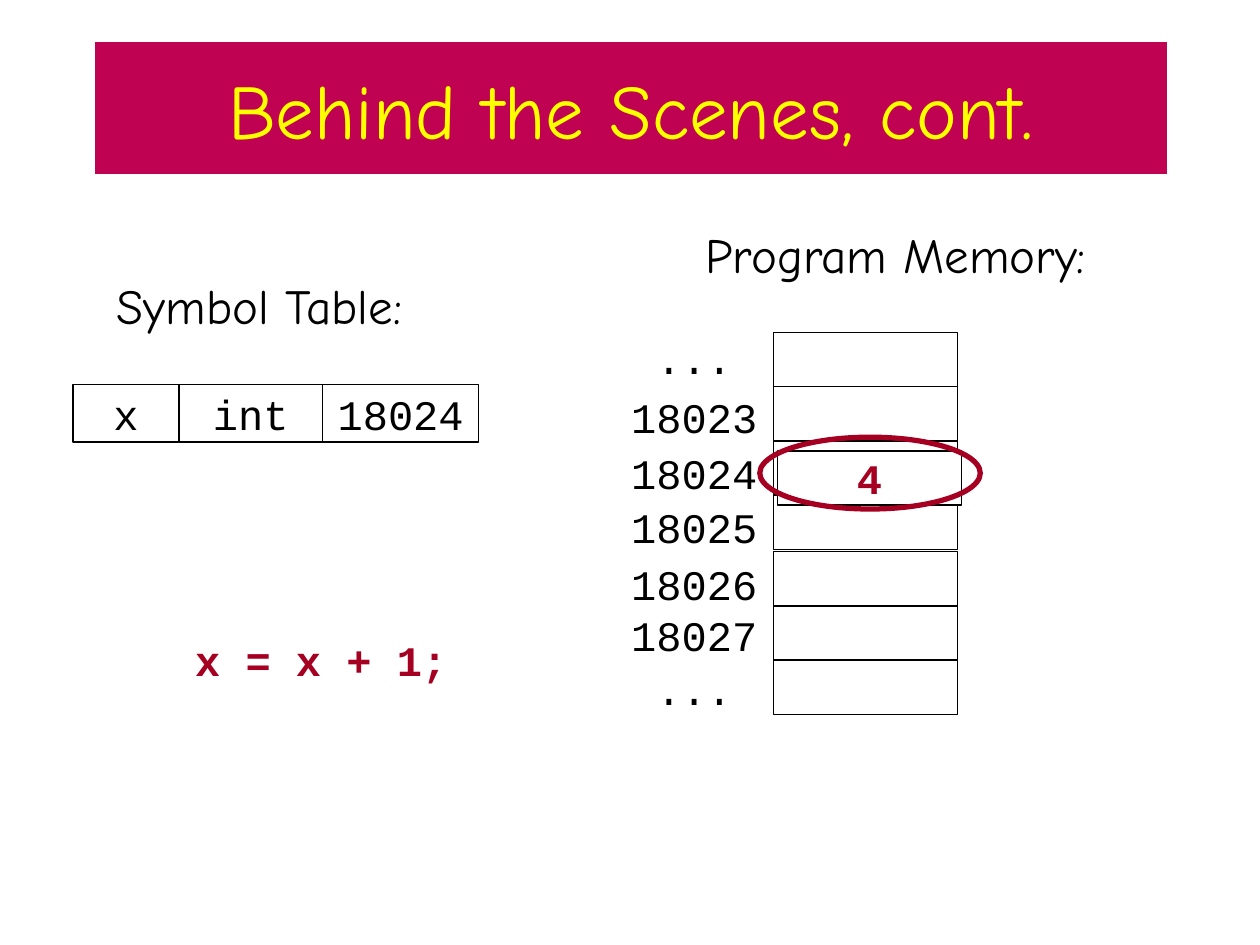
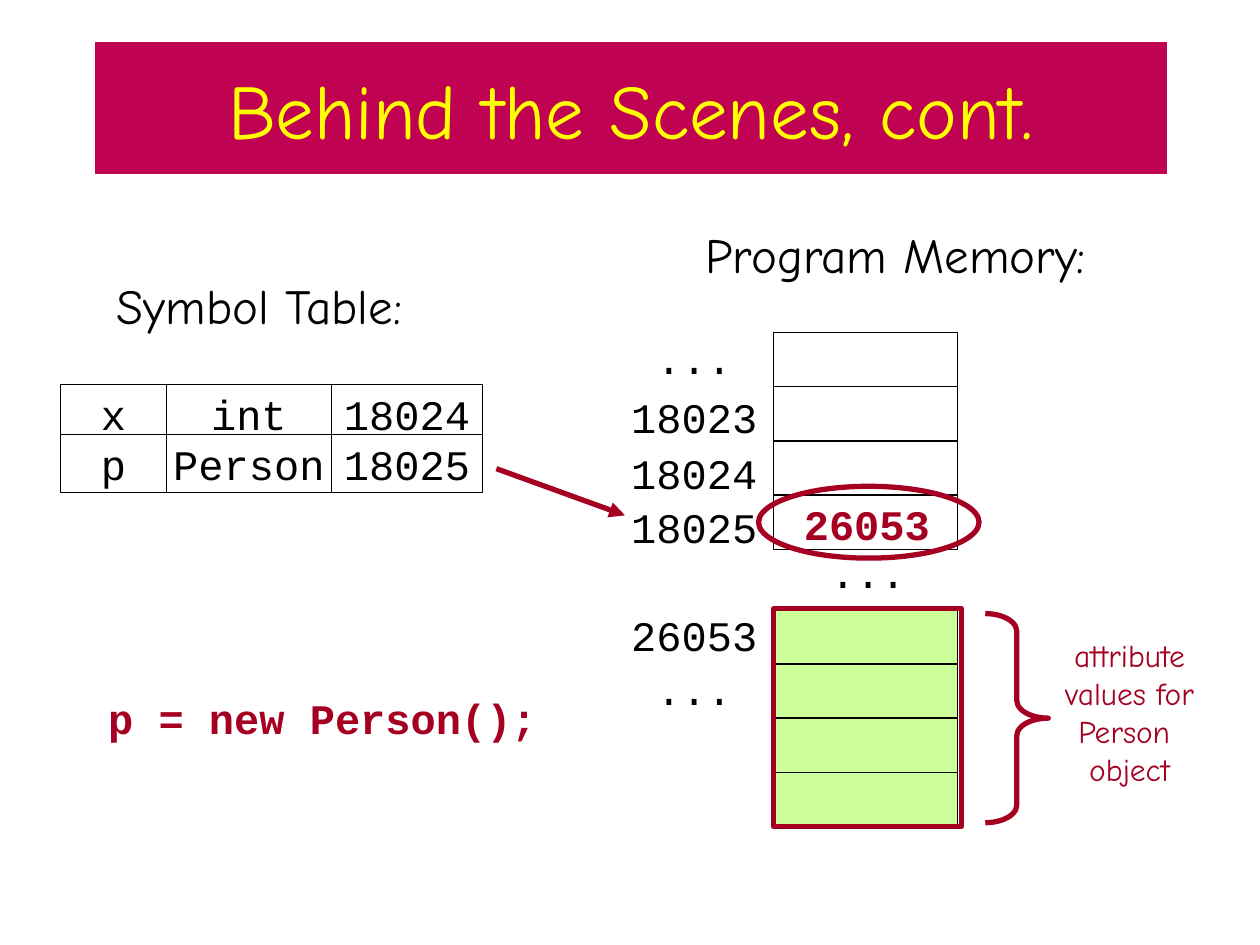
import pptx
import pptx.util
import pptx.dml.color
import pptx.enum.shapes
import pptx.enum.text
import pptx.oxml
import pptx.oxml.ns

Inches = pptx.util.Inches
Pt = pptx.util.Pt
SHAPE = pptx.enum.shapes.MSO_SHAPE
ALIGN = pptx.enum.text.PP_ALIGN
ANCHOR = pptx.enum.text.MSO_ANCHOR

COLORS = {"band": "C00253", "title": "FFFF00", "ink": "000000",
          "paper": "FFFFFF", "accent": "A50021", "object": "CCFF99"}
HAND, CODE = "Comic Neue", "Courier New"

# Memory column geometry
CELL_LEFT, CELL_W, CELL_H = 6.14, 1.46, 0.43
MEMORY_TOP = 2.64
LABEL_TOPS = (2.59, 3.06, 3.5, 3.93, 4.38, 4.79, 5.22)


def rgb(name):
    return pptx.dml.color.RGBColor.from_string(COLORS[name])


def box(left, top, width, height):
    return [Inches(v) for v in (left, top, width, height)]


def write(tf, text, font, size, color="ink", bold=False, align=ALIGN.CENTER):
    tf.text = text
    for p in tf.paragraphs:
        p.alignment = align
        p.font.name, p.font.size, p.font.bold = font, Pt(size), bold
        p.font.color.rgb = rgb(color)


def paint(sp, fill, line, width=0.75):
    if fill:
        sp.fill.solid()
        sp.fill.fore_color.rgb = rgb(fill)
    else:
        sp.fill.background()
    sp.line.color.rgb = rgb(line)
    sp.line.width = Pt(width)


def add_title(s, text):
    sp = s.shapes.title
    sp.left, sp.top, sp.width, sp.height = box(0.75, 0.33, 8.52, 1.06)
    paint(sp, "band", "paper")
    sp.text_frame.vertical_anchor = ANCHOR.MIDDLE
    write(sp.text_frame, text, HAND, 44, "title")


def add_text(s, left, top, width, height, text, font, size, wrap=False, **style):
    tf = s.shapes.add_textbox(*box(left, top, width, height)).text_frame
    tf.word_wrap = wrap
    tf.auto_size = pptx.enum.text.MSO_AUTO_SIZE.SHAPE_TO_FIT_TEXT
    write(tf, text, font, size, **style)


def add_cell(s, left, top, width, height, text="", fill="paper", **style):
    sp = s.shapes.add_shape(SHAPE.RECTANGLE, *box(left, top, width, height))
    sp.shadow.inherit = False
    paint(sp, fill, "ink")
    if text:
        sp.text_frame.word_wrap = False
        sp.text_frame.vertical_anchor = ANCHOR.MIDDLE
        write(sp.text_frame, text, CODE, 24, **style)


def add_outline(s, kind, left, top, width, height):
    sp = s.shapes.add_shape(kind, *box(left, top, width, height))
    sp.shadow.inherit = False
    paint(sp, None, "accent", 3)
    return sp


def add_arrow(s, x1, y1, x2, y2):
    cx = s.shapes.add_connector(pptx.enum.shapes.MSO_CONNECTOR.STRAIGHT,
                                *box(x1, y1, x2, y2))
    cx.line.color.rgb = rgb("accent")
    cx.line.width = Pt(3)
    ns = pptx.oxml.ns.nsdecls("a")
    ln = cx.line._get_or_add_ln()
    ln.append(pptx.oxml.parse_xml(f'<a:tailEnd {ns} type="triangle"/>'))
    ln.addnext(pptx.oxml.parse_xml(f"<a:effectLst {ns}/>"))


def add_symbol_row(s, left, top, widths, texts):
    for width, text in zip(widths, texts):
        add_cell(s, left, top, width, 0.46, text)
        left += width


def add_memory_cells(s, top, count, fill="paper"):
    for i in range(count):
        add_cell(s, CELL_LEFT, top + i * CELL_H, CELL_W, CELL_H, fill=fill)


def add_addresses(s, labels):
    for top, label in zip(LABEL_TOPS, labels):
        if label:
            add_text(s, 4.91, top, 1.2, 0.5, label, CODE, 24)


def add_statement(s, left, top, width, text):
    add_text(s, left, top, width, 0.5, text, CODE, 24, wrap=True,
             color="accent", bold=True, align=ALIGN.LEFT)


def new_slide(prs):
    s = prs.slides.add_slide(prs.slide_layouts[5])
    add_title(s, "Behind the Scenes, cont.")
    add_text(s, 0.83, 2.14, 2.5, 0.57, "Symbol Table:", HAND, 28, align=ALIGN.LEFT)
    add_text(s, 5.5, 1.73, 3.23, 0.57, "Program Memory:", HAND, 28, align=ALIGN.LEFT)
    add_memory_cells(s, MEMORY_TOP, 4)
    return s


def increment_slide(prs):
    s = new_slide(prs)
    add_memory_cells(s, 4.38, 3)
    add_addresses(s, ("...", "18023", "18024", "18025", "18026", "18027", "..."))
    add_symbol_row(s, 0.58, 3.05, (0.84, 1.14, 1.24), ("x", "int", "18024"))
    add_statement(s, 1.45, 4.99, 2.39, "x = x + 1;")
    # Updated value
    add_cell(s, 6.17, 3.58, CELL_W, CELL_H, "4", color="accent", bold=True)
    add_outline(s, SHAPE.OVAL, 6.03, 3.47, 1.75, 0.57)


def new_object_slide(prs):
    s = new_slide(prs)
    add_addresses(s, ("...", "18023", "18024", "18025", None, "26053", "..."))
    symbols = (("x", "int", "18024"), ("p", "Person", "18025"))
    for i, row in enumerate(symbols):
        add_symbol_row(s, 0.48, 3.05 + i * 0.4, (0.84, 1.31, 1.2), row)
    add_statement(s, 0.76, 5.45, 4.11, "p = new Person();")
    # Reference stored in memory
    add_arrow(s, 3.94, 3.72, 4.96, 4.09)
    add_text(s, 6.28, 3.91, 1.2, 0.5, "26053", CODE, 24, color="accent", bold=True)
    add_outline(s, SHAPE.OVAL, 6.02, 3.86, 1.75, 0.57)
    add_text(s, 6.49, 4.29, 0.8, 0.5, "...", CODE, 24)
    # Memory block of the object
    add_memory_cells(s, 4.84, 4, "object")
    add_outline(s, SHAPE.RECTANGLE, CELL_LEFT, 4.83, 1.49, 1.73)
    brace = add_outline(s, SHAPE.RIGHT_BRACE, 7.82, 4.87, 0.5, 1.66)
    brace.adjustments[0] = 0.28
    add_text(s, 8.35, 5, 1.23, 1.3, "attribute\nvalues for\nPerson \nobject",
             HAND, 18, color="accent")


def main():
    prs = pptx.Presentation()
    prs.slide_width, prs.slide_height = Inches(10), Inches(7.5)
    increment_slide(prs)
    new_object_slide(prs)
    prs.save("out.pptx")


if __name__ == "__main__":
    main()
